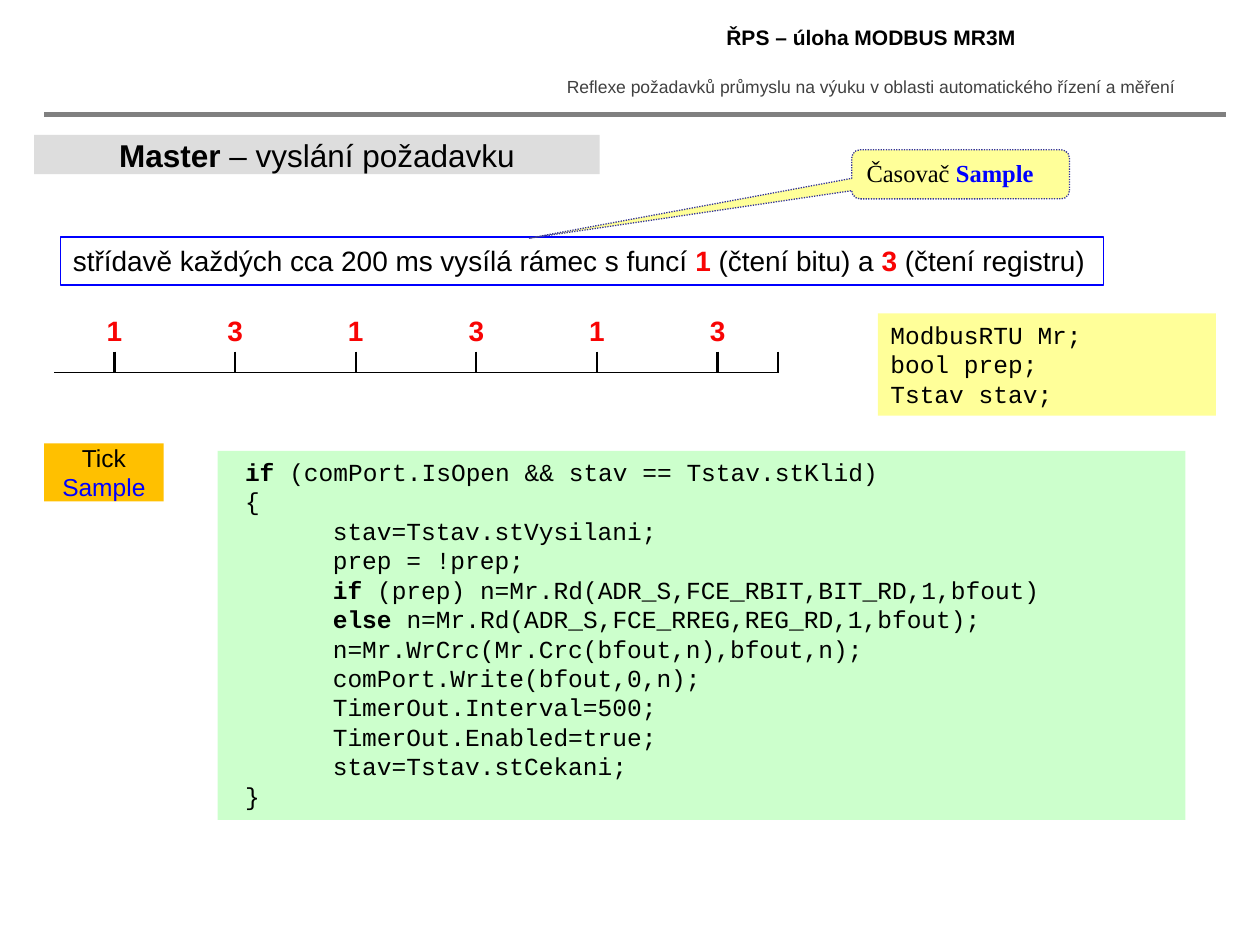
from lxml import etree
from pptx import Presentation
from pptx import util as u
from pptx.dml.color import RGBColor
from pptx.enum import dml, shapes, text
from pptx.oxml.ns import qn

BLACK, RED, BLUE = "000000", "F80404", "0000FF"
CENTER = text.PP_ALIGN.CENTER
NO_STYLE = "{2D5ABB26-0587-4C30-8999-92F81FD0307C}"
CODE_INDENT, BLOCK_INDENT = 0.3, 2.07

# Each code line: left indent, keyword in bold, remaining text
CODE = [
    (CODE_INDENT, "if ", "(comPort.IsOpen && stav == Tstav.stKlid)"),
    (CODE_INDENT, "", "{"),
    (BLOCK_INDENT, "", "stav=Tstav.stVysilani;"),
    (BLOCK_INDENT, "", "prep = !prep;"),
    (BLOCK_INDENT, "if ", "(prep) n=Mr.Rd(ADR_S,FCE_RBIT,BIT_RD,1,bfout)"),
    (BLOCK_INDENT, "else ", "n=Mr.Rd(ADR_S,FCE_RREG,REG_RD,1,bfout);"),
    (BLOCK_INDENT, "", "n=Mr.WrCrc(Mr.Crc(bfout,n),bfout,n);"),
    (BLOCK_INDENT, "", "comPort.Write(bfout,0,n);"),
    (BLOCK_INDENT, "", "TimerOut.Interval=500;"),
    (BLOCK_INDENT, "", "TimerOut.Enabled=true;"),
    (BLOCK_INDENT, "", "stav=Tstav.stCekani;"),
    (CODE_INDENT, "", "}"),
]
DECLARATIONS = ["ModbusRTU Mr;", "bool prep;", "Tstav stav;"]


def rgb(value):
    return RGBColor.from_string(value)


def lengths(*values):
    return [u.Cm(value) for value in values]


def add_span(para, words, size, font="Arial", color=BLACK, bold=False):
    span = para.add_run()
    span.text = words
    span.font.size = u.Pt(size)
    span.font.name = font
    span.font.bold = bold
    span.font.color.rgb = rgb(color)


def write(frame, lines, size, font="Arial", align=text.PP_ALIGN.LEFT):
    """Fill a frame; a line is a list of (words, color, bold) runs."""
    for number, runs in enumerate(lines):
        para = frame.add_paragraph() if number else frame.paragraphs[0]
        para.alignment = align
        for words, color, bold in runs:
            add_span(para, words, size, font, color, bold)


def set_frame(frame, wrap=True, anchor=text.MSO_ANCHOR.TOP):
    frame.word_wrap = wrap
    frame.auto_size = text.MSO_AUTO_SIZE.NONE
    frame.vertical_anchor = anchor


def add_box(slide, place, fill=None, line=None, wrap=True,
            anchor=text.MSO_ANCHOR.TOP, kind=shapes.MSO_SHAPE.RECTANGLE):
    box = slide.shapes.add_shape(kind, *lengths(*place))
    box.shadow.inherit = False
    if fill:
        box.fill.solid()
        box.fill.fore_color.rgb = rgb(fill)
    else:
        box.fill.background()
    if line:
        box.line.color.rgb = rgb(line)
        box.line.width = u.Pt(0.75)
    else:
        box.line.fill.background()
    set_frame(box.text_frame, wrap, anchor)
    return box


def add_code(slide, place, fill, lines):
    box = add_box(slide, place, fill)
    write(box.text_frame,
          [[(words, BLACK, bold) for words, bold in ((keyword, True), (rest, False)) if words]
           for _, keyword, rest in lines], 14, "Courier New")
    for para, (indent, _, _) in zip(box.text_frame.paragraphs, lines):
        para.line_spacing = u.Pt(16.8)
        properties = para._p.get_or_add_pPr()
        properties.set("marL", str(u.Cm(indent)))
        properties.set("indent", "0")


def add_rule(slide, left, right, top):
    rule = slide.shapes.add_connector(
        shapes.MSO_CONNECTOR.STRAIGHT, *lengths(left, top, right, top))
    rule.line.color.rgb = rgb("808080")
    rule.line.width = u.Pt(3)
    etree.SubElement(rule._element.spPr, qn("a:effectLst"))


def set_border(cell, side, width):
    border = etree.SubElement(cell._tc.get_or_add_tcPr(), qn("a:ln" + side),
                              w=str(u.Pt(width)))
    fill = etree.SubElement(border, qn("a:solidFill"))
    etree.SubElement(fill, qn("a:srgbClr"), val=BLACK)


def add_timeline(slide, labels):
    """Time axis: labels above, a tick under each one, half a step at the ends."""
    count = 2 * len(labels)
    frame = slide.shapes.add_table(2, count, *lengths(1.09, 6.32, 14.6, 1.19))
    table = frame.table
    table.first_row = table.horz_banding = False
    frame._element.find(".//" + qn("a:tableStyleId")).text = NO_STYLE
    for column in table.columns:
        column.width = u.Cm(14.6 / count)
    for row, height in zip(table.rows, (0.77, 0.42)):
        row.height = u.Cm(height)

    for number, label in enumerate(labels):
        left = 2 * number
        table.cell(0, left).merge(table.cell(0, left + 1))
        write(table.cell(0, left).text_frame, [[(label, RED, True)]], 16, align=CENTER)
        if left + 2 < count:
            table.cell(1, left + 1).merge(table.cell(1, left + 2))

    for index in range(count):
        axis = table.cell(1, index)
        if index % 2:
            set_border(axis, "L", 1.5)
        if index < count - 1:
            set_border(axis, "R", 1.5)
        set_border(axis, "B", 1)

    for cell in table.iter_cells():
        cell.margin_left = cell.margin_right = u.Cm(0.1)
        cell.margin_top = cell.margin_bottom = u.Cm(0.05)
        cell.fill.background()
        if not cell.text_frame.text:
            etree.SubElement(cell.text_frame.paragraphs[0]._p,
                             qn("a:endParaRPr"), sz="600")


def add_header(slide):
    title = slide.shapes.title
    title.left, title.top, title.width, title.height = lengths(10.92, 0.36, 13.28, 0.79)
    set_frame(title.text_frame)
    write(title.text_frame, [[("ŘPS – úloha MODBUS MR3M", BLACK, True)]], 12, align=CENTER)

    subtitle = slide.shapes.add_textbox(*lengths(10.92, 1.4, 13.26, 0.69))
    set_frame(subtitle.text_frame)
    motto = "Reflexe požadavků průmyslu na výuku v oblasti automatického řízení a měření"
    write(subtitle.text_frame, [[(motto, "404040", False)]], 10, align=CENTER)
    add_rule(slide, 0.89, 24.71, 2.31)


def add_callout(slide):
    callout = add_box(slide, (17.17, 3.02, 4.39, 0.99), "FFFF99", "333399",
                      kind=shapes.MSO_SHAPE.ROUNDED_RECTANGULAR_CALLOUT)
    callout.line.dash_style = dml.MSO_LINE.ROUND_DOT
    for index, value in enumerate((-1.98, 1.3, 0.17)):
        callout.adjustments[index] = value
    write(callout.text_frame, [[("Časovač ", BLACK, False), ("Sample", BLUE, True)]],
          14, "Times New Roman")


def main():
    deck = Presentation()
    deck.slide_width, deck.slide_height = lengths(25.4, 19.05)
    slide = deck.slides.add_slide(deck.slide_layouts[5])
    middle = text.MSO_ANCHOR.MIDDLE

    add_header(slide)

    # Section heading
    heading = add_box(slide, (0.69, 2.72, 11.4, 0.79), "DDDDDD", wrap=False, anchor=middle)
    write(heading.text_frame,
          [[("Master", BLACK, True), (" – vyslání požadavku", BLACK, False)]],
          18, align=CENTER)

    # Statement and the timeline that illustrates it
    statement = add_box(slide, (1.22, 4.78, 21.03, 0.97), line=BLUE, wrap=False)
    write(statement.text_frame, [[
        ("střídavě každých cca 200 ms vysílá rámec s funcí ", BLACK, False),
        ("1", RED, True), (" (čtení bitu) a ", BLACK, False),
        ("3", RED, True), (" (čtení registru)", BLACK, False)]], 16)
    add_timeline(slide, ["1", "3"] * 3)

    # Code blocks
    add_code(slide, (4.39, 9.09, 19.51, 7.44), "CCFFCC", CODE)
    add_code(slide, (17.7, 6.32, 6.81, 2.06), "FFFF99",
             [(0, "", line) for line in DECLARATIONS])

    # Timer labels
    add_callout(slide)
    tick = add_box(slide, (0.89, 8.94, 2.41, 1.17), "FFC000", wrap=False, anchor=middle)
    write(tick.text_frame, [[("Tick", BLACK, False)], [("Sample", BLUE, False)]],
          14, align=CENTER)

    deck.save("out.pptx")


if __name__ == "__main__":
    main()
